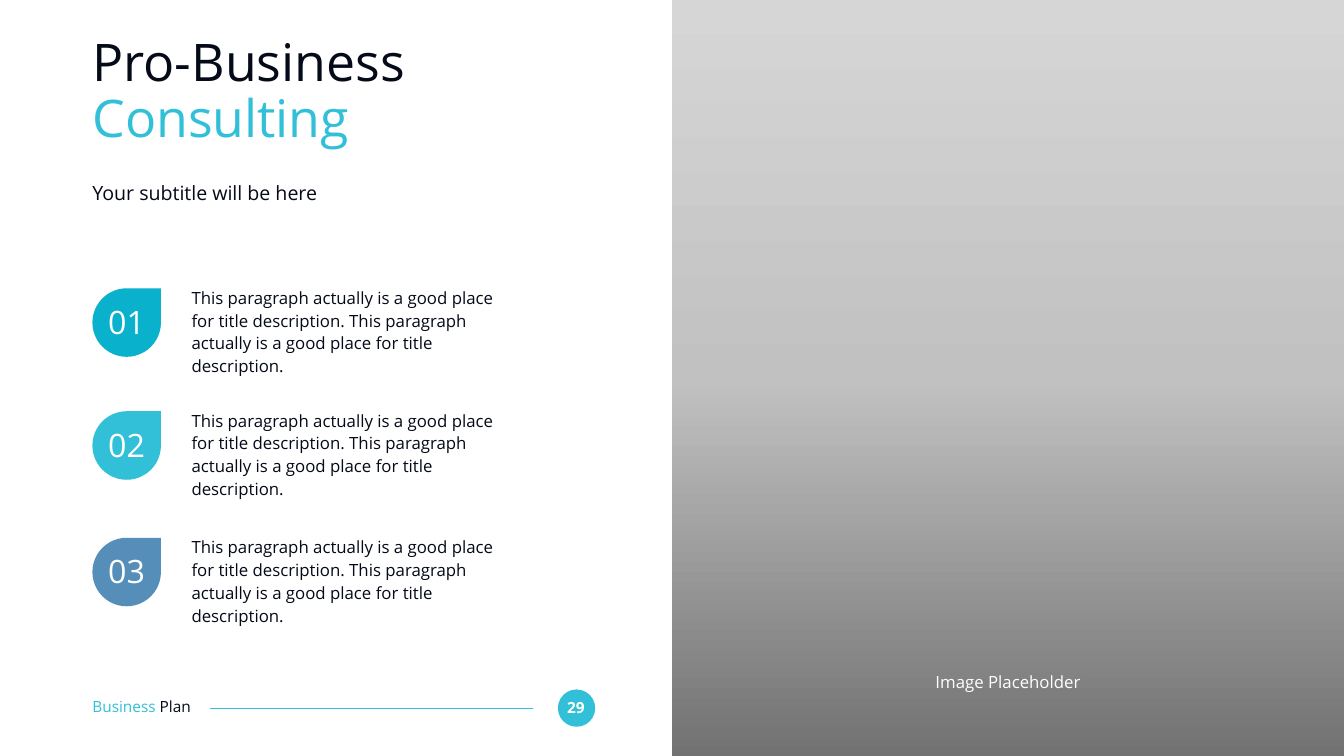
from copy import deepcopy
from dataclasses import dataclass

from lxml.etree import SubElement
from pptx import Presentation
from pptx.dml.color import RGBColor
from pptx.enum.shapes import MSO_CONNECTOR as Connector, MSO_SHAPE as Shape
from pptx.enum.text import MSO_ANCHOR as Anchor, MSO_AUTO_SIZE as AutoSize, PP_ALIGN as Align
from pptx.oxml.ns import qn
from pptx.util import Inches, Pt

INK = RGBColor(0x05, 0x0A, 0x19)
WHITE = RGBColor(0xFF, 0xFF, 0xFF)
CYAN = RGBColor(0x32, 0xC0, 0xD8)
TEAL = RGBColor(0x09, 0xB1, 0xCC)
BLUE = RGBColor(0x55, 0x8E, 0xB9)
DARK_GREY = RGBColor(0x72, 0x72, 0x72)
MID_GREY = RGBColor(0xC1, 0xC1, 0xC1)
LIGHT_GREY = RGBColor(0xD6, 0xD6, 0xD6)

FONT = "Open Sans"
WIDTH, HEIGHT = Inches(26.67), Inches(15)
COLUMNS, ROWS = 80, 45
DESCRIPTION = ("This paragraph actually is a good place for title description. "
               "This paragraph actually is a good place for title description.")
# Number, top row and colour of each item
ITEMS = [("01", 17.16, TEAL), ("02", 24.48, CYAN), ("03", 32.01, BLUE)]


@dataclass
class Box:
    """A rectangle in grid columns and rows."""
    left: float
    top: float
    width: float
    height: float

    def inside(self, left, top, width, height):
        return Box(self.left + left, self.top + top, width, height)

    def emu(self):
        return (column(self.left), row(self.top), column(self.width), row(self.height))


def column(count):
    return int(WIDTH * count / COLUMNS)


def row(count):
    return int(HEIGHT * count / ROWS)


def write(shape, pieces, size, align=Align.LEFT, spacing=1.0, bold=False):
    """Fill a shape with one paragraph of (text, colour) pieces."""
    frame = shape.text_frame
    frame.margin_left = frame.margin_right = frame.margin_top = frame.margin_bottom = 0
    frame.word_wrap = True
    frame.auto_size = AutoSize.NONE
    frame.vertical_anchor = Anchor.TOP
    paragraph = frame.paragraphs[0]
    paragraph.alignment = align
    paragraph.line_spacing = spacing
    paragraph.space_before = Pt(0)
    for text, color in pieces:
        run = paragraph.add_run()
        run.text = text
        run.font.name = FONT
        run.font.size = Pt(size)
        run.font.bold = bold
        run.font.color.rgb = color


def add_text(slide, box, pieces, size, **options):
    write(slide.shapes.add_textbox(*box.emu()), pieces, size, **options)


def add_plain_shape(slide, kind, box, color=None):
    shape = slide.shapes.add_shape(kind, *box.emu())
    shape.shadow.inherit = False
    shape.line.fill.background()
    if color is not None:
        shape.fill.solid()
        shape.fill.fore_color.rgb = color
    return shape


def place(shape, box):
    shape.left, shape.top, shape.width, shape.height = box.emu()


def build_heading(slide, box):
    title, subtitle = slide.shapes.title, slide.placeholders[1]
    place(title, box.inside(0, 0, box.width, 7.56))
    write(title, [("Pro-Business ", INK), ("Consulting", CYAN)], 74, spacing=0.9)
    place(subtitle, box.inside(0, 8.58, box.width, 1.47))
    write(subtitle, [("Your subtitle will be here", INK)], 28)
    # The subtitle has no bullet and no indent
    properties = subtitle.text_frame.paragraphs[0]._p.get_or_add_pPr()
    properties.set("marL", "0")
    properties.set("indent", "0")
    SubElement(properties, qn("a:buNone"))


def build_item(slide, box, number, color):
    add_text(slide, box.inside(5.9, -0.23, 18.84, 4.59), [(DESCRIPTION, INK)], 24, spacing=1.14)
    drop = add_plain_shape(slide, Shape.TEAR, box.inside(0, 0, 4.08, 4.08), color)
    drop.adjustments[0] = 1
    add_text(slide, box.inside(0.39, 0.82, 3.3, 2.31), [(number, WHITE)], 46, align=Align.CENTER)


def build_image_area(slide, box):
    area = add_plain_shape(slide, Shape.RECTANGLE, box)
    area.fill.gradient()
    area.fill.gradient_angle = 90
    # A third stop is needed between the two default ones
    stop_list = area._element.spPr.find(qn("a:gradFill")).find(qn("a:gsLst"))
    stop_list.append(deepcopy(stop_list[0]))
    colors = (DARK_GREY, MID_GREY, LIGHT_GREY)
    for stop, position, color in zip(area.fill.gradient_stops, (0, 0.5, 1), colors):
        stop.position = position
        stop.color.rgb = color
    add_text(slide, box.inside(9.44, 39.96, 21.12, 1.2), [("Image Placeholder", WHITE)], 24,
             align=Align.CENTER)


def build_footer(slide, box):
    add_plain_shape(slide, Shape.OVAL, box.inside(27.71, 0, 2.22, 2.22), CYAN)
    add_text(slide, box.inside(27.89, 0.51, 1.77, 1.11), [("29", WHITE)], 22,
             align=Align.CENTER, bold=True)
    line_y = row(box.top + box.height / 2)
    line = slide.shapes.add_connector(Connector.STRAIGHT, column(box.left + 26.21), line_y,
                                      column(box.left + 6.98), line_y)
    line.line.color.rgb = CYAN
    line.line.width = Pt(1.5)
    SubElement(line._element.spPr, qn("a:effectLst"))
    add_text(slide, box.inside(0, 0.48, 7.77, 1.11), [("Business ", CYAN), ("Plan", INK)], 22)


def main():
    presentation = Presentation()
    presentation.slide_width, presentation.slide_height = WIDTH, HEIGHT
    slide = presentation.slides.add_slide(presentation.slide_layouts[1])
    margin = 5.5
    build_footer(slide, Box(margin, 41.04, 29.93, 2.22))
    build_heading(slide, Box(margin, 2.19, 29.7, 10.05))
    for number, top, color in ITEMS:
        build_item(slide, Box(margin, top, 24.74, 4.59), number, color)
    build_image_area(slide, Box(COLUMNS / 2, 0, COLUMNS / 2, ROWS))
    presentation.save("out.pptx")


if __name__ == "__main__":
    main()
